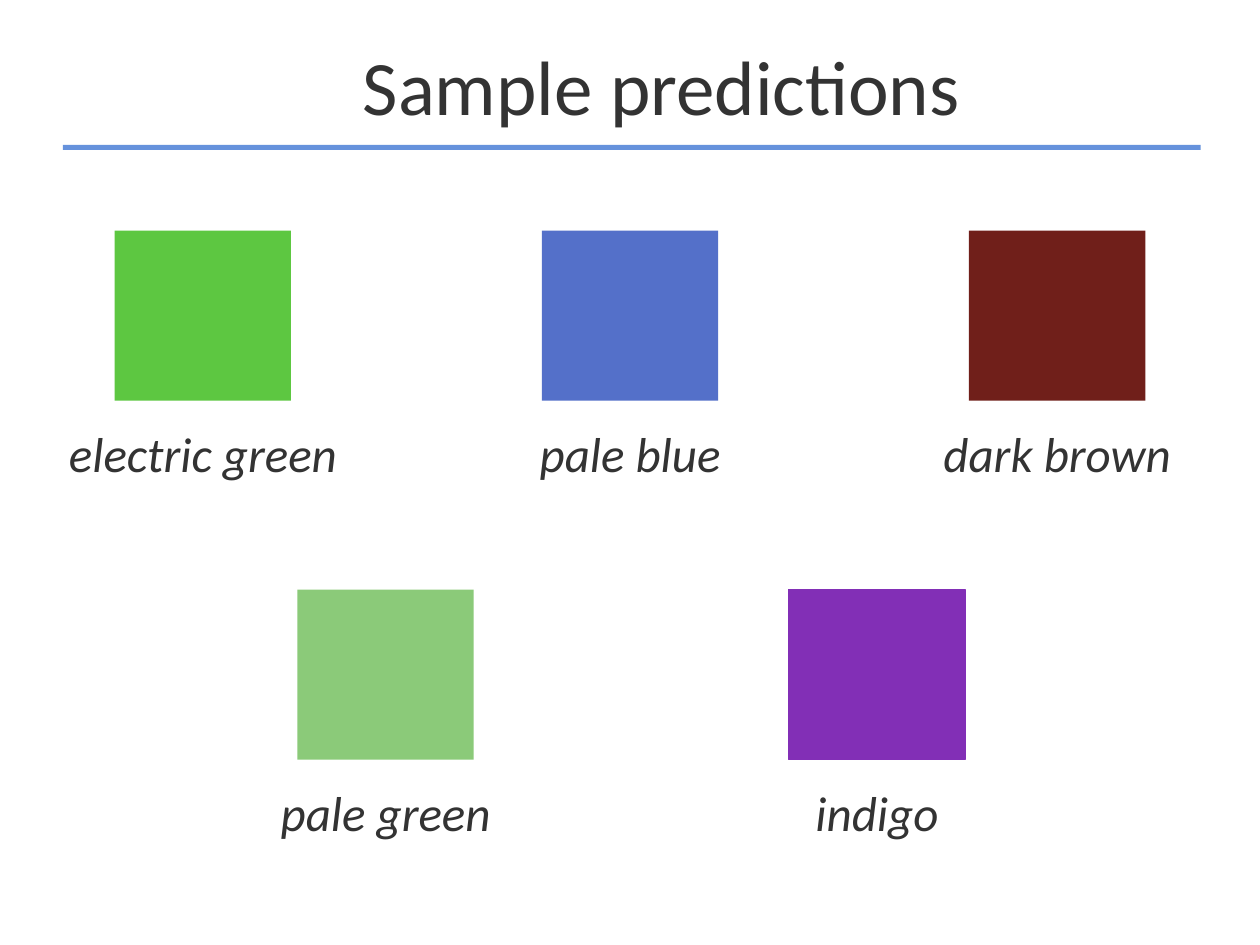
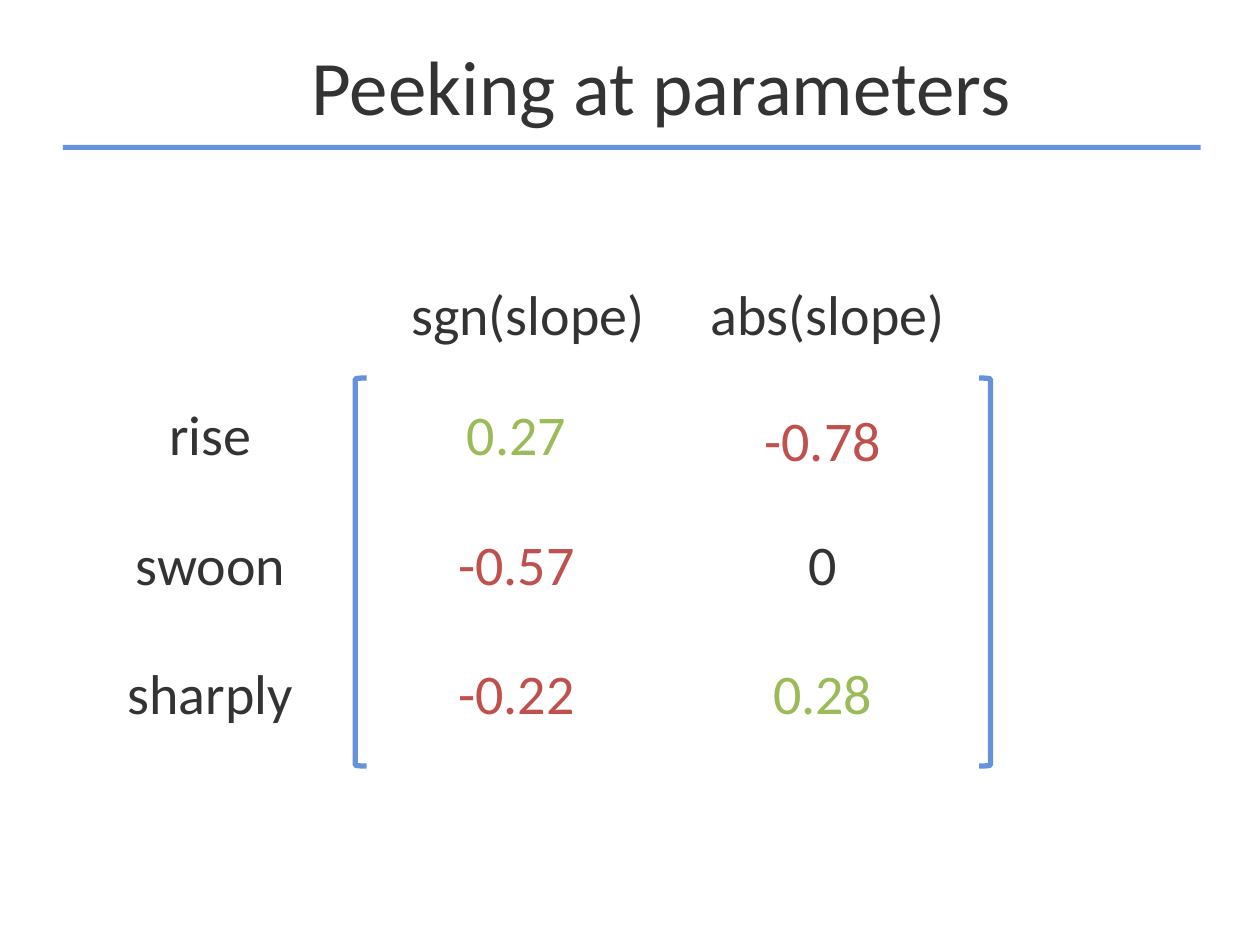
from pptx import Presentation
from pptx.dml.color import RGBColor
from pptx.enum.shapes import MSO_SHAPE
from pptx.enum.text import MSO_ANCHOR, PP_ALIGN
from pptx.util import Inches, Pt

RECT = MSO_SHAPE.RECTANGLE
LEFT_BRACKET, RIGHT_BRACKET = MSO_SHAPE.LEFT_BRACKET, MSO_SHAPE.RIGHT_BRACKET
CENTER = PP_ALIGN.CENTER
TOP, MIDDLE = MSO_ANCHOR.TOP, MSO_ANCHOR.MIDDLE

FONT = "Calibri"
COLORS = {
    "text": "333333", "accent": "6692DC",
    "positive": "9BBB59", "negative": "C0504D",
    "electric green": "5DC741", "pale blue": "5470C9", "dark brown": "701F1A",
    "pale green": "8BCA79", "indigo": "822FB6",
}

# Swatch rows: top, first centre, distance between centres, names
SWATCH_ROWS = [
    (1.83, 1.61, 3.39, ["electric green", "pale blue", "dark brown"]),
    (4.68, 3.06, 3.9, ["pale green", "indigo"]),
]
SWATCH_W, SWATCH_H = 1.4, 1.35
CAPTION_DROP = 1.48
OUTLINED = {"indigo"}

# Parameter matrix: header and value centres for each column
WORDS = ["rise", "swoon", "sharply"]
COLUMNS = [
    ("sgn(slope)", 4.19, 4.1, ["0.27", "-0.57", "-0.22"]),
    ("abs(slope)", 6.57, 6.53, ["-0.78", "0", "0.28"]),
]
NUDGE = {"-0.78": 0.05}
WORD_CENTER = 1.67
HEADER_TOP, ROW_TOP, ROW_STEP = 2.17, 3.12, 1.03
BRACKETS = [(LEFT_BRACKET, 2.82), (RIGHT_BRACKET, 7.77)]


def rgb(name):
    return RGBColor.from_string(COLORS[name])


def add_text(slide, text, center, top, width, height, size,
             color="text", italic=False, anchor=TOP):
    sp = slide.shapes.add_textbox(Inches(center - width / 2), Inches(top),
                                  Inches(width), Inches(height))
    tf = sp.text_frame
    tf.word_wrap = True
    tf.vertical_anchor = anchor
    p = tf.paragraphs[0]
    p.alignment = CENTER
    r = p.add_run()
    r.text = text
    r.font.name, r.font.size, r.font.italic = FONT, Pt(size), italic
    r.font.color.rgb = rgb(color)


def add_shape(slide, kind, left, top, width, height, fill=None, line=None, weight=0.75):
    sp = slide.shapes.add_shape(kind, Inches(left), Inches(top),
                                Inches(width), Inches(height))
    sp.shadow.inherit = False
    if fill:
        sp.fill.solid()
        sp.fill.fore_color.rgb = rgb(fill)
    else:
        sp.fill.background()
    if line:
        sp.line.color.rgb = rgb(line)
        sp.line.width = Pt(weight)
    else:
        sp.line.fill.background()


def add_slide(prs, title):
    slide = prs.slides.add_slide(prs.slide_layouts[6])
    add_shape(slide, RECT, 0.5, 1.15, 9.03, 0.04, fill="accent")
    add_text(slide, title, 5.25, 0.12, 7.83, 1.1, 44, anchor=MIDDLE)
    return slide


def value_color(value):
    number = float(value)
    if number == 0:
        return "text"
    return "positive" if number > 0 else "negative"


def build_predictions(prs):
    slide = add_slide(prs, "Sample predictions")
    for top, first, step, names in SWATCH_ROWS:
        for i, name in enumerate(names):
            center = first + i * step
            add_shape(slide, RECT, center - SWATCH_W / 2, top, SWATCH_W, SWATCH_H,
                      fill=name, line=name if name in OUTLINED else None)
            add_text(slide, name, center, top + CAPTION_DROP, 2.45, 0.57, 28, italic=True)


def build_parameters(prs):
    slide = add_slide(prs, "Peeking at parameters")
    for kind, left in BRACKETS:
        add_shape(slide, kind, left, 3, 0.09, 3.08, line="accent", weight=3)

    # Row labels
    for i, word in enumerate(WORDS):
        add_text(slide, word, WORD_CENTER, ROW_TOP + i * ROW_STEP, 1.93, 0.64, 32)

    # Headers and values
    for header, header_center, value_center, values in COLUMNS:
        add_text(slide, header, header_center, HEADER_TOP, 2.3, 0.64, 32)
        for i, value in enumerate(values):
            top = ROW_TOP + i * ROW_STEP + NUDGE.get(value, 0)
            add_text(slide, value, value_center, top, 1.14, 0.64, 32, value_color(value))


def main():
    prs = Presentation()
    prs.slide_width, prs.slide_height = Inches(10), Inches(7.5)
    build_predictions(prs)
    build_parameters(prs)
    prs.save("out.pptx")


if __name__ == "__main__":
    main()
